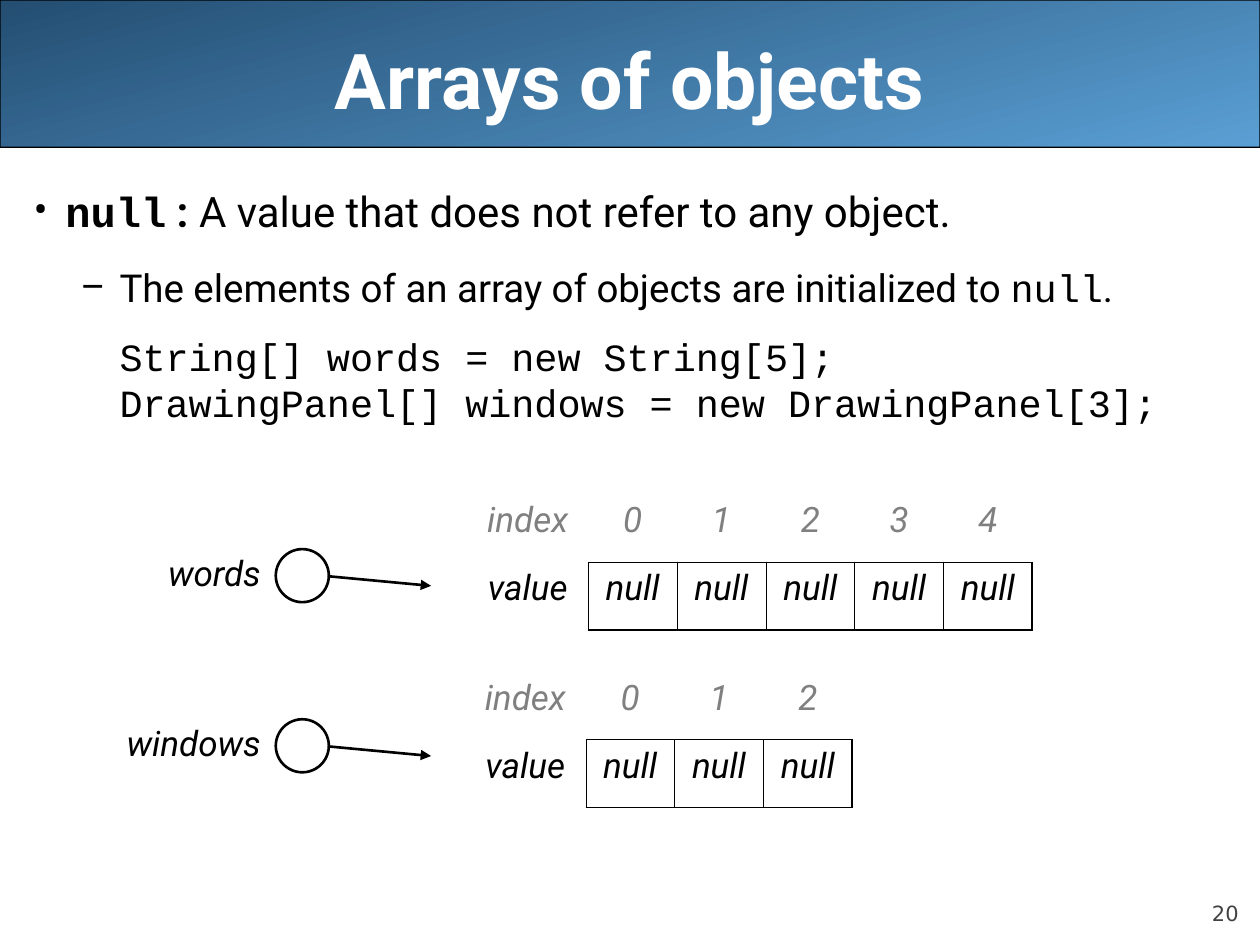
from lxml.etree import SubElement
from pptx import Presentation
from pptx.dml.color import RGBColor
from pptx.enum.shapes import MSO_CONNECTOR as Connector, MSO_SHAPE as Shape
from pptx.enum.text import MSO_ANCHOR as Anchor, PP_ALIGN as Align
from pptx.oxml import parse_xml
from pptx.oxml.ns import nsdecls, qn
from pptx.util import Cm, Pt

COLORS = {
    "light": "5A9FD4",
    "dark": "244E72",
    "black": "000000",
    "white": "FFFFFF",
    "index": "808080",
    "number": "424242",
}
SANS = "Roboto"
MONO = "Courier New"


def color(name):
    return RGBColor.from_string(COLORS[name])


def add_span(para, text, size, name="black", font=SANS, bold=False, italic=False):
    span = para.add_run()
    span.text = text
    span.font.name = font
    span.font.size = Pt(size)
    span.font.bold = bold
    span.font.italic = italic
    span.font.color.rgb = color(name)


def set_line(line, width):
    line.color.rgb = color("black")
    line.width = Pt(width)


def add_box(shapes, left, top, width, height):
    box = shapes.add_textbox(Cm(left), Cm(top), Cm(width), Cm(height))
    box.text_frame.word_wrap = True
    return box.text_frame


def add_banner(page):
    banner = page.shapes.add_shape(Shape.ROUNDED_RECTANGLE, 0, 0, Cm(25.4), Cm(2.97))
    banner.adjustments[0] = 0.001
    banner.shadow.inherit = False
    banner.fill.gradient()
    banner.fill.gradient_angle = 105
    for stop, name in zip(banner.fill.gradient_stops, ("light", "dark")):
        stop.color.rgb = color(name)
    set_line(banner.line, 0.75)
    page.shapes.title.element.addprevious(banner.element)


def add_title(page, text):
    title = page.shapes.title
    title.left, title.top, title.width, title.height = Cm(1.27), Cm(0), Cm(22.86), Cm(3.18)
    title.text_frame.vertical_anchor = Anchor.MIDDLE
    para = title.text_frame.paragraphs[0]
    para.alignment = Align.CENTER
    add_span(para, text, 44, "white", bold=True)


def add_page_number(page, number):
    frame = add_box(page.shapes, 22.86, 17.65, 2.11, 1.02)
    frame.margin_left = frame.margin_right = frame.margin_top = frame.margin_bottom = 0
    frame.vertical_anchor = Anchor.BOTTOM
    para = frame.paragraphs[0]
    para.alignment = Align.RIGHT
    add_span(para, number, 12, "number", "DejaVu Sans")


def format_para(para, margin, indent=0, before=0, spacing=1.0, bullet=None):
    para.space_before = Pt(before)
    para.line_spacing = spacing
    props = para._p.get_or_add_pPr()
    props.set("marL", str(Cm(margin)))
    props.set("indent", str(Cm(indent)))
    if bullet:
        SubElement(props, qn("a:buFont")).set("typeface", SANS)
        SubElement(props, qn("a:buChar")).set("char", bullet)


def add_body(page):
    frame = add_box(page.shapes, 0.43, 3.61, 24.97, 14.4)
    para = frame.paragraphs[0]
    format_para(para, 0.64, -0.64, bullet="•")
    add_span(para, "null", 24, font=MONO, bold=True)
    add_span(para, " : ", 24, bold=True)
    add_span(para, "A value that does not refer to any object.", 24)

    para = frame.add_paragraph()
    format_para(para, 1.73, -0.79, before=16.1, bullet="–")
    add_span(para, "The elements of an array of objects are initialized to ", 22)
    add_span(para, "null", 22, font=MONO)
    add_span(para, ".", 22)

    code = (
        ("String[] words = new String[5];", 18.2),
        ("DrawingPanel[] windows = new DrawingPanel[3];", 5.5),
    )
    for text, before in code:
        para = frame.add_paragraph()
        format_para(para, 1.73, before=before, spacing=0.8)
        add_span(para, text, 22, font=MONO)


def set_borders(cell, widths):
    props = cell._tc.get_or_add_tcPr()
    for position, side in enumerate("LRTB"):
        width = widths.get(side)
        fill = "<a:noFill/>"
        if width:
            fill = f'<a:solidFill><a:srgbClr val="{COLORS["black"]}"/></a:solidFill>'
        border = f'<a:ln{side} {nsdecls("a")} w="{Pt(width or 0)}">{fill}</a:ln{side}>'
        props.insert(position, parse_xml(border))


def cell_borders(row, column, last):
    if row == 0:
        return {"B": 0.45} if column else {}
    if column == 0:
        return {"R": 0.45}
    return {"L": 0.45, "T": 0.45, "R": 1.08 if column == last else 0.45, "B": 1.08}


def add_array_table(page, left, top, length):
    widths = [2.44] + [1.79] * length
    rows = (
        ["index"] + [str(index) for index in range(length)],
        ["value"] + ["null"] * length,
    )
    table = page.shapes.add_table(
        2, length + 1, Cm(left), Cm(top), Cm(sum(widths)), Cm(2.74)
    ).table
    table.first_row = table.horz_banding = False
    for column, width in zip(table.columns, widths):
        column.width = Cm(width)
    for row, (texts, name) in enumerate(zip(rows, ("index", "black"))):
        for column, text in enumerate(texts):
            cell = table.cell(row, column)
            cell.fill.background()
            set_borders(cell, cell_borders(row, column, length))
            para = cell.text_frame.paragraphs[0]
            para.alignment = Align.CENTER
            add_span(para, text, 20, name, italic=True)


def add_arrow(shapes, start, end):
    arrow = shapes.add_connector(Connector.STRAIGHT, *map(Cm, start + end))
    set_line(arrow.line, 1.5)
    SubElement(arrow.line._get_or_add_ln(), qn("a:tailEnd")).set("type", "triangle")
    SubElement(arrow.element.spPr, qn("a:effectLst"))


def add_reference(page, name, top):
    shapes = page.shapes.add_group_shape().shapes
    para = add_box(shapes, 1.7, top, 3.81, 1.24).paragraphs[0]
    para.alignment = Align.RIGHT
    add_span(para, name, 20, italic=True)
    add_arrow(shapes, (6.55, top + 0.61), (8.69, top + 0.81))
    circle = shapes.add_shape(Shape.OVAL, Cm(5.56), Cm(top + 0.07), Cm(1.07), Cm(1.07))
    circle.shadow.inherit = False
    circle.fill.solid()
    circle.fill.fore_color.rgb = color("white")
    set_line(circle.line, 1.5)


def main():
    deck = Presentation()
    deck.slide_width, deck.slide_height = Cm(25.4), Cm(19.05)
    page = deck.slides.add_slide(deck.slide_layouts[5])
    add_banner(page)
    add_title(page, "Arrays of objects")
    add_page_number(page, "20")
    add_body(page)
    add_array_table(page, 9.42, 9.96, 5)
    add_array_table(page, 9.37, 13.54, 3)
    add_reference(page, "words", 11)
    add_reference(page, "windows", 14.43)
    deck.save("out.pptx")


if __name__ == "__main__":
    main()
